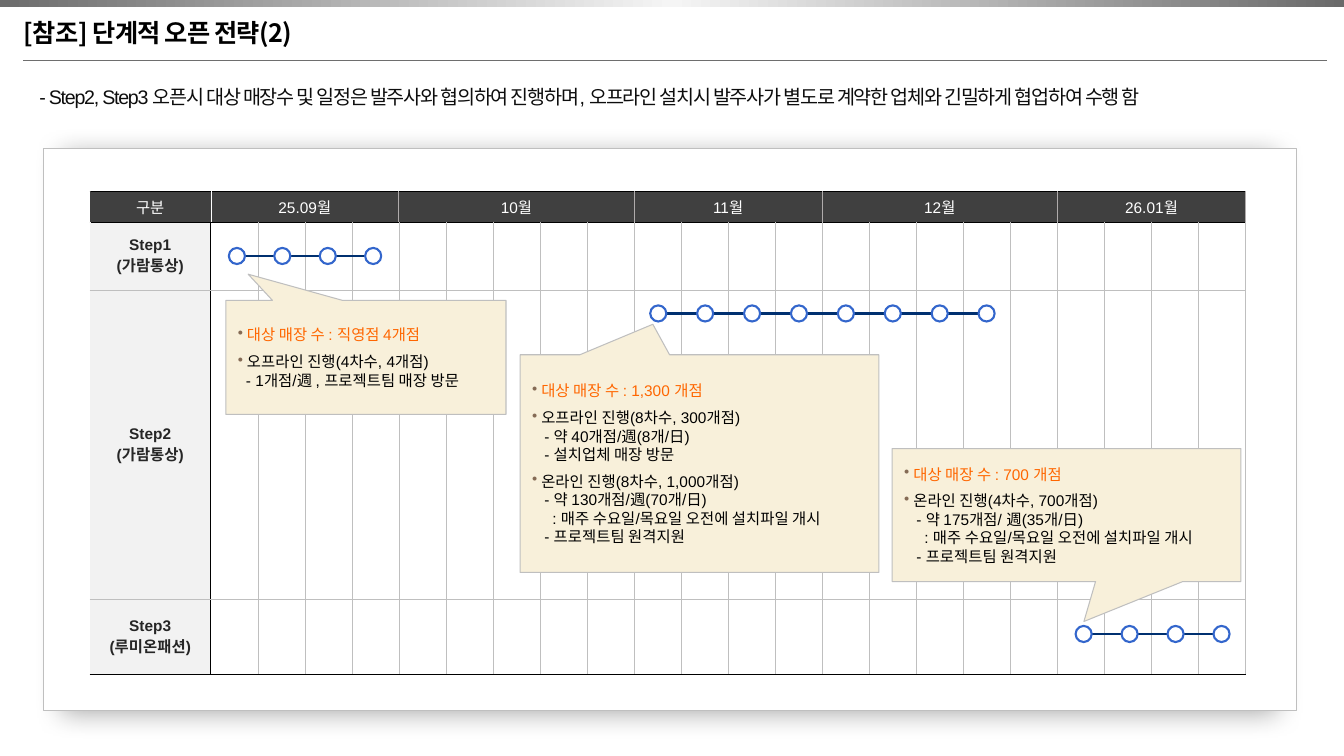
from dataclasses import dataclass
from typing import Any, NamedTuple

from lxml import etree
from pptx import Presentation
from pptx.dml.color import RGBColor
from pptx.enum.shapes import MSO_CONNECTOR, MSO_SHAPE
from pptx.enum.text import MSO_ANCHOR, PP_ALIGN
from pptx.oxml.ns import qn
from pptx.util import Emu, Inches, Pt

RECT, OVAL = MSO_SHAPE.RECTANGLE, MSO_SHAPE.OVAL
CALLOUT = MSO_SHAPE.RECTANGULAR_CALLOUT
STRAIGHT, MIDDLE = MSO_CONNECTOR.STRAIGHT, MSO_ANCHOR.MIDDLE
CENTER, LEFT = PP_ALIGN.CENTER, PP_ALIGN.LEFT

BLACK = RGBColor(0x00, 0x00, 0x00)
WHITE = RGBColor(0xFF, 0xFF, 0xFF)
INK = RGBColor(0x0D, 0x0D, 0x0D)
LABEL_INK = RGBColor(0x26, 0x26, 0x26)
HEADER = RGBColor(0x40, 0x40, 0x40)
LABEL_FILL = RGBColor(0xF2, 0xF2, 0xF2)
GRID = RGBColor(0xBF, 0xBF, 0xBF)
MONTH_EDGE = RGBColor(0xAF, 0xAB, 0xAB)
RULE = RGBColor(0x6E, 0x6E, 0x6E)
CREAM = RGBColor(0xF8, 0xF0, 0xDA)
ORANGE = RGBColor(0xFF, 0x66, 0x00)
BULLET = RGBColor(0x85, 0x6B, 0x55)
DOT_EDGE = RGBColor(0x33, 0x66, 0xCC)
TRACK_LINE = RGBColor(0x00, 0x30, 0x70)
BAR_STOPS = [(0, RGBColor(0x6C, 0x6C, 0x6C)), (50, RGBColor(0xF5, 0xF5, 0xF5)),
             (100, RGBColor(0x6A, 0x6A, 0x6A))]

SANS, KOREAN = "Arial", "Noto Sans CJK KR"
BODY = {"name": SANS, "size": Pt(11)}
WIDTH, HEIGHT = Inches(13.33), Inches(7.5)


class Box(NamedTuple):
    """Left, top, width and height in percent of the slide."""
    x: float
    y: float
    w: float
    h: float


class Line(NamedTuple):
    """Callout text; level 0 is bulleted, others are indented in spaces."""
    text: str
    level: int = 0


@dataclass
class Callout:
    box: Box
    tip: tuple[float, float]
    lines: list[Line]


@dataclass
class Track:
    x: float
    y: float
    pitch: float
    count: int


# Content
MONTHS = [("25.09월", 4), ("10월", 5), ("11월", 4), ("12월", 5), ("26.01월", 4)]
STEPS = ["Step1\n(가람통상)", "Step2\n(가람통상)", "Step3\n(루미온패션)"]
LABEL_W, WEEK_W, WEEKS = 9, 3.5, 22
ROWS = [4.1, 9, 40.85, 9.95]
DOT = 1.2
NOTICE = Line(": 매주 수요일/목요일 오전에 설치파일 개시", 5)
REMOTE = Line("- 프로젝트팀 원격지원", 3)
CALLOUTS = [
    Callout(Box(16.8, 39.73, 20.85, 15.07), (-0.42, -0.73), [
        Line("대상 매장 수 : 직영점 4개점"), Line("오프라인 진행(4차수, 4개점)"),
        Line("- 1개점/週 , 프로젝트팀 매장 방문", 2)]),
    Callout(Box(38.7, 46.93, 26.7, 28.8), (-0.13, -0.64), [
        Line("대상 매장 수 : 1,300 개점"), Line("오프라인 진행(8차수, 300개점)"),
        Line("- 약 40개점/週(8개/日)", 3), Line("- 설치업체 매장 방문", 3),
        Line("온라인 진행(8차수, 1,000개점)"),
        Line("- 약 130개점/週(70개/日)", 3), NOTICE, REMOTE]),
    Callout(Box(66.38, 59.33, 25.95, 17.6), (0.05, 0.8), [
        Line("대상 매장 수 : 700 개점"), Line("온라인 진행(4차수, 700개점)"),
        Line("- 약 175개점/ 週(35개/日)", 3), NOTICE, REMOTE]),
]
TRACKS = [Track(17.03, 32.8, 3.38, 4), Track(48.38, 40.4, 3.49, 8), Track(80.03, 82.8, 3.42, 4)]


def px(share: float) -> Emu:
    return Emu(round(WIDTH * share / 100))


def py(share: float) -> Emu:
    return Emu(round(HEIGHT * share / 100))


def place(box: Box) -> tuple[Emu, Emu, Emu, Emu]:
    return px(box.x), py(box.y), px(box.w), py(box.h)


def sub(parent: Any, tag: str, **attrs: Any) -> Any:
    return etree.SubElement(parent, qn(tag), {k: str(v) for k, v in attrs.items()})


def set_all(target: Any, values: dict[str, Any]) -> None:
    for name, value in values.items():
        setattr(target, name, value)


def add_run(p: Any, text: str, color: RGBColor, font: dict[str, Any], spacing: int = 0) -> None:
    r = p.add_run()
    r.text = text
    set_all(r.font, font)
    r.font.color.rgb = color
    rPr = r.font._element
    if spacing:
        rPr.set("spc", str(spacing))
    sub(rPr, "a:ea", typeface=KOREAN)


def add_text(s: Any, box: Box, text: str, color: RGBColor, font: dict[str, Any], spacing: int) -> None:
    tf = s.shapes.add_textbox(*place(box)).text_frame
    set_all(tf, {"word_wrap": True, "vertical_anchor": MIDDLE, "margin_left": 0,
                 "margin_right": 0, "margin_top": 0, "margin_bottom": 0})
    add_run(tf.paragraphs[0], text, color, font, spacing)


def add_shape(s: Any, kind: Any, at: tuple, fill: RGBColor, edge: RGBColor | None, weight: float) -> Any:
    sp = s.shapes.add_shape(kind, *at)
    sp.shadow.inherit = False
    sp.fill.solid()
    sp.fill.fore_color.rgb = fill
    if edge is None:
        sp.line.fill.background()
    else:
        sp.line.color.rgb = edge
        sp.line.width = Pt(weight)
    return sp


def add_line(s: Any, x1: float, x2: float, y: Emu, color: RGBColor, weight: float) -> None:
    cx = s.shapes.add_connector(STRAIGHT, px(x1), y, px(x2), y)
    cx.line.color.rgb = color
    cx.line.width = Pt(weight)
    sub(cx._element.spPr, "a:effectLst")


def style_cell(cell: Any, fill: RGBColor, edges: list[tuple[RGBColor, float]]) -> None:
    """Edges run left, right, top, bottom."""
    tcPr = cell._tc.get_or_add_tcPr()
    for side, (color, weight) in zip("LRTB", edges):
        ln = sub(tcPr, f"a:ln{side}", w=Pt(weight))
        sub(sub(ln, "a:solidFill"), "a:srgbClr", val=color)
    cell.fill.solid()
    cell.fill.fore_color.rgb = fill


def fill_cell(cell: Any, text: str, color: RGBColor, bold: bool) -> None:
    set_all(cell, {"vertical_anchor": MIDDLE, "margin_left": Inches(0.11),
                   "margin_right": Inches(0.11), "margin_top": Inches(0.04),
                   "margin_bottom": Inches(0.04)})
    for i, part in enumerate(text.split("\n")):
        p = cell.text_frame.add_paragraph() if i else cell.text_frame.paragraphs[0]
        p.alignment = CENTER
        add_run(p, part, color, BODY | {"bold": bold})


def add_schedule(s: Any) -> None:
    box = Box(6.68, 25.33, LABEL_W + WEEK_W * WEEKS, sum(ROWS))
    table = s.shapes.add_table(len(ROWS), WEEKS + 1, *place(box)).table
    set_all(table, {"first_row": False, "horz_banding": False})
    for i, col in enumerate(table.columns):
        col.width = px(WEEK_W if i else LABEL_W)
    for row, share in zip(table.rows, ROWS):
        row.height = py(share)
    black, thin, grid = (BLACK, 0.5), (GRID, 0.25), (GRID, 0.5)
    white, month = (WHITE, 0.25), (MONTH_EDGE, 0.75)
    for r in range(len(ROWS)):
        top = black if r < 2 else grid
        bottom = black if r in (0, len(ROWS) - 1) else grid
        for c in range(WEEKS + 1):
            if r == 0:
                fill = HEADER
                left, right = (white if c < 2 else month), (month if c else white)
            else:
                fill = WHITE if c else LABEL_FILL
                left = black if c == 1 else thin
                right = thin if c else black
            if c == 0:
                left = (fill, 0.25)
            style_cell(table.cell(r, c), fill, [left, right, top, bottom])
    fill_cell(table.cell(0, 0), "구분", WHITE, False)
    start = 1
    for name, weeks in MONTHS:
        table.cell(0, start).merge(table.cell(0, start + weeks - 1))
        fill_cell(table.cell(0, start), name, WHITE, False)
        start += weeks
    for r, step in enumerate(STEPS, 1):
        fill_cell(table.cell(r, 0), step, LABEL_INK, True)


def add_callout(s: Any, note: Callout) -> None:
    sp = add_shape(s, CALLOUT, place(note.box), CREAM, GRID, 0.75)
    sp.adjustments[0], sp.adjustments[1] = note.tip
    tf = sp.text_frame
    set_all(tf, {"word_wrap": True, "vertical_anchor": MIDDLE, "margin_left": Inches(0.12),
                 "margin_right": Inches(0.1), "margin_top": Inches(0.05),
                 "margin_bottom": Inches(0.05)})
    for i, line in enumerate(note.lines):
        p = tf.add_paragraph() if i else tf.paragraphs[0]
        p.alignment = LEFT
        pPr = p._p.get_or_add_pPr()
        if line.level:
            pPr.set("marL", str(Inches(0.04 * line.level)))
        else:
            if i:
                p.space_before = Pt(6)
            pPr.set("marL", str(Inches(0.09)))
            pPr.set("indent", str(-Inches(0.09)))
            sub(sub(pPr, "a:buClr"), "a:srgbClr", val=BULLET)
            sub(pPr, "a:buChar", char="•")
        add_run(p, line.text, BLACK if i else ORANGE, BODY)


def add_track(s: Any, track: Track) -> None:
    size = px(DOT)
    last = track.x + track.pitch * (track.count - 1)
    add_line(s, track.x + DOT, last, py(track.y) + size // 2, TRACK_LINE, 2)
    for i in range(track.count):
        at = (px(track.x + track.pitch * i), py(track.y), size, size)
        add_shape(s, OVAL, at, WHITE, DOT_EDGE, 1.5)


def main() -> None:
    prs = Presentation()
    prs.slide_width, prs.slide_height = WIDTH, HEIGHT
    s = prs.slides.add_slide(prs.slide_layouts[6])

    # Heading
    bar = add_shape(s, RECT, place(Box(0, 0, 100, 0.93)), RULE, None, 0)
    bar.fill.gradient()
    bar.fill.gradient_angle = 0
    stops = bar._element.spPr.find(".//" + qn("a:gsLst"))
    stops.clear()
    for pos, color in BAR_STOPS:
        sub(sub(stops, "a:gs", pos=pos * 1000), "a:srgbClr", val=color)
    add_line(s, 1.73, 98.7, py(8), RULE, 0.5)
    add_text(s, Box(1.73, 1.47, 55.8, 5.6), "[참조] 단계적 오픈 전략(2)", BLACK,
             {"name": KOREAN, "size": Pt(18), "bold": True}, -60)
    add_text(s, Box(2.93, 8.8, 94.35, 8),
             "- Step2, Step3 오픈시 대상 매장수 및 일정은 발주사와 협의하여 진행하며, "
             "오프라인 설치시 발주사가 별도로 계약한 업체와 긴밀하게 협업하여 수행 함",
             INK, {"name": SANS, "size": Pt(14)}, -90)

    # Panel with a soft shadow
    panel = add_shape(s, RECT, place(Box(3.23, 19.6, 93.23, 74.4)), WHITE, GRID, 0.5)
    effects = panel._element.spPr.find(qn("a:effectLst"))
    shadow = sub(effects, "a:outerShdw", blurRad=Pt(20), dist=Pt(3), dir=5400000,
                 sx=97000, sy=99000, algn="ctr", rotWithShape=0)
    sub(sub(shadow, "a:srgbClr", val=BLACK), "a:alpha", val=35000)

    # Schedule
    add_schedule(s)
    for note in CALLOUTS:
        add_callout(s, note)
    for track in TRACKS:
        add_track(s, track)
    prs.save("out.pptx")


if __name__ == "__main__":
    main()
